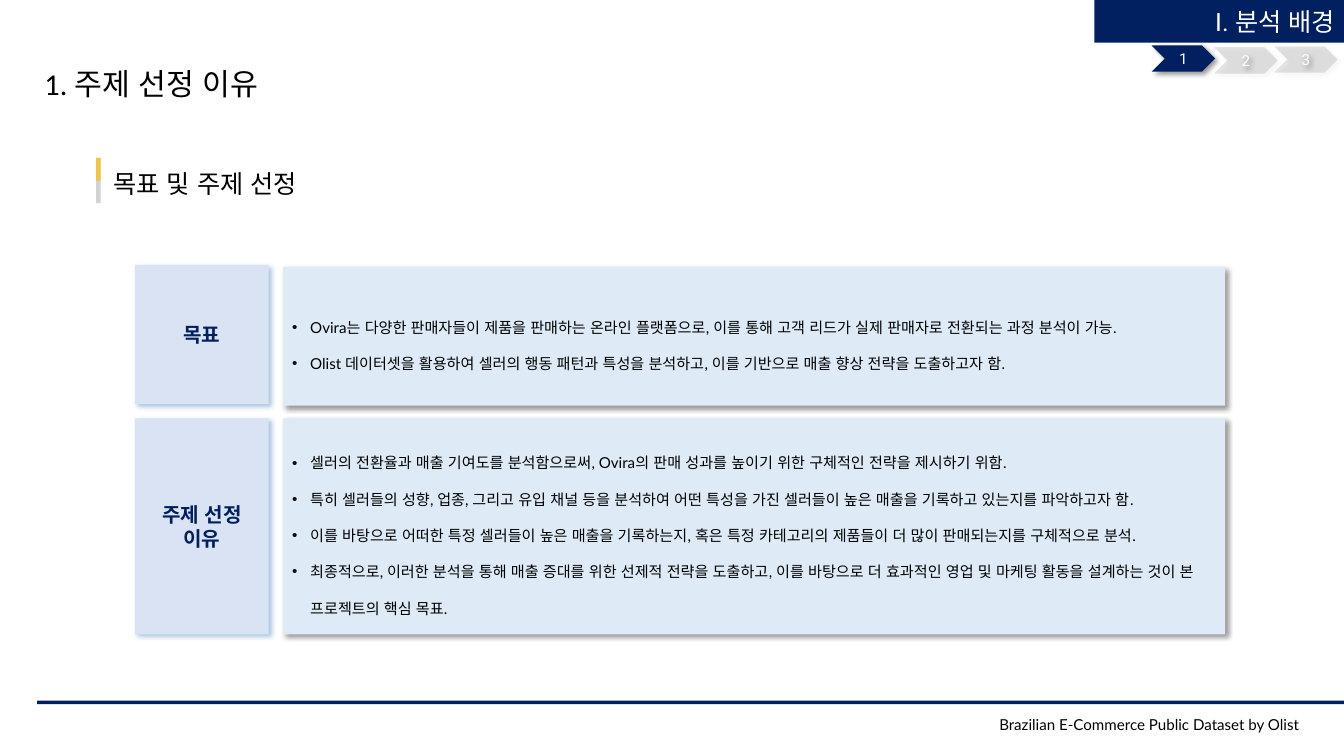
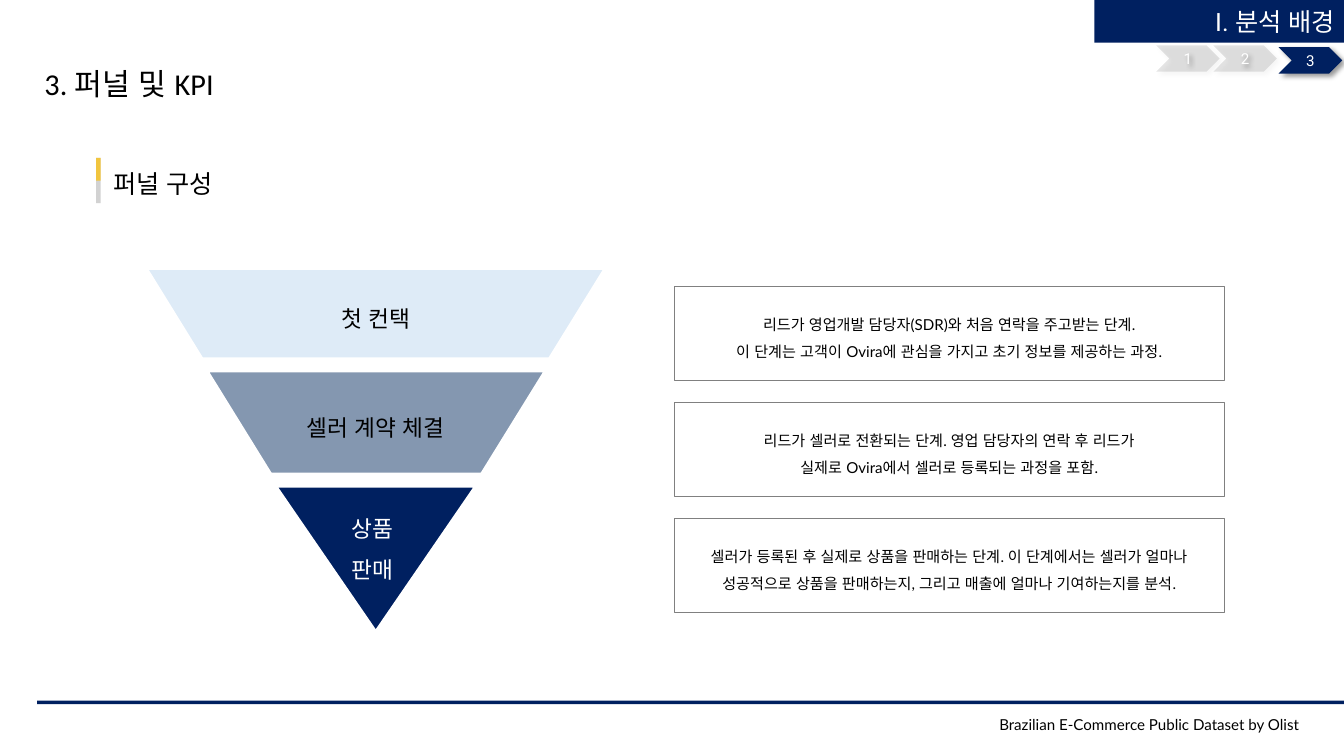
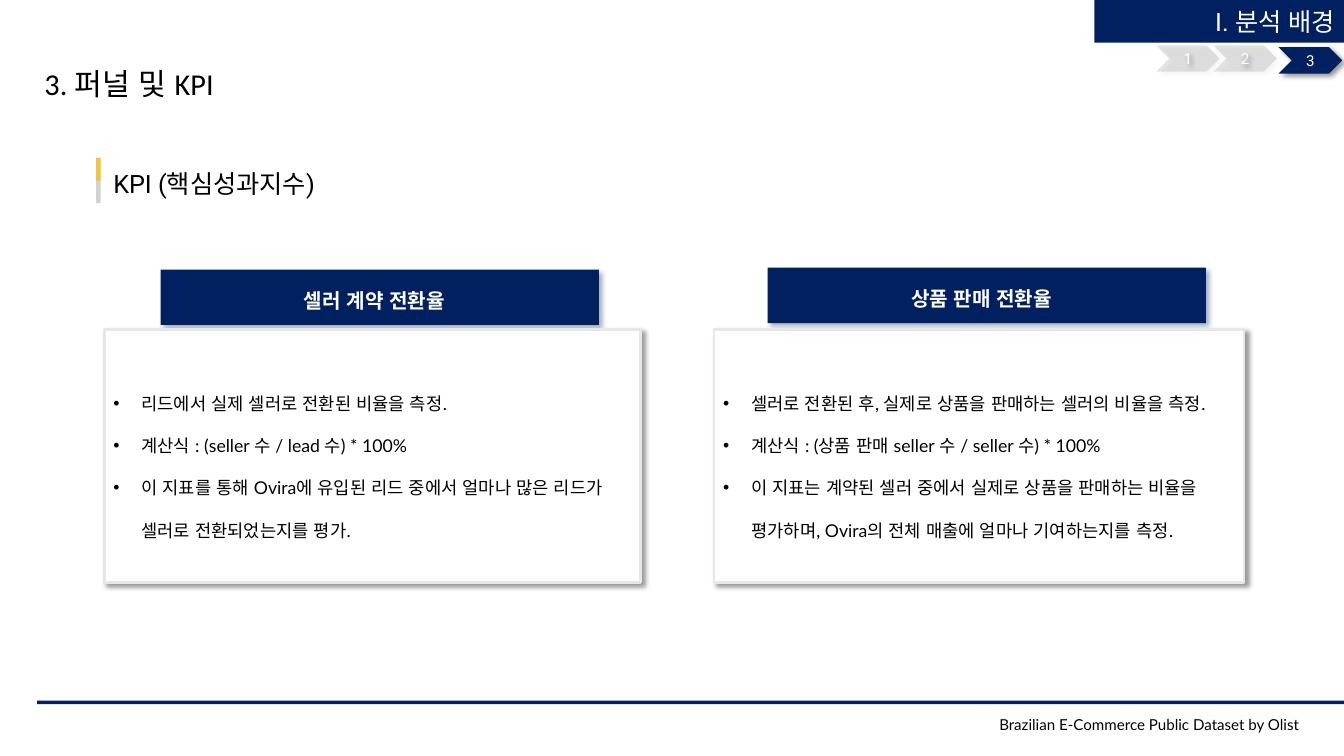
import pptx
import pptx.util
import pptx.dml.color
import pptx.enum.lang
import pptx.enum.shapes
import pptx.enum.text
import pptx.oxml
import pptx.oxml.ns

Pt = pptx.util.Pt
Inches = pptx.util.Inches
KIND = pptx.enum.shapes.MSO_SHAPE
ALIGN = pptx.enum.text.PP_ALIGN
ANCHOR = pptx.enum.text.MSO_ANCHOR
FIT = pptx.enum.text.MSO_AUTO_SIZE
LANG = pptx.enum.lang.MSO_LANGUAGE_ID

# Style: the grid has ten columns or rows to the inch
CELL = 0.1
COLS, ROWS = 148.1, 83.3
HEX = {
    "navy": "002060", "black": "000000", "white": "FFFFFF", "gold": "FFC000",
    "silver": "BFBFBF", "pale": "DEEBF7", "lilac": "DAE3F3", "steel": "8497B0",
    "blue": "2E75B6", "ink": "203864", "gray": "808080", "mist": "E7E7E9",
}
SIDE = {"l": ALIGN.LEFT, "c": ALIGN.CENTER, "r": ALIGN.RIGHT}


def cells(*nums):
    return [Inches(round(n * CELL, 3)) for n in nums]


def rgb(name):
    return pptx.dml.color.RGBColor.from_string(HEX[name])


def node(xml):
    return pptx.oxml.parse_xml(xml.replace(">", f" {pptx.oxml.ns.nsdecls('a')}>", 1))


def write(frame, text, size=12, face="Lato", color="black", bold=False, side="l",
          lead=None, dent=0, pad=None, mid=True, grow=False):
    """Fill a text frame, one paragraph a line; a dent gives bullets."""
    frame.word_wrap = True
    frame.auto_size = FIT.SHAPE_TO_FIT_TEXT if grow else FIT.NONE
    frame.vertical_anchor = ANCHOR.MIDDLE if mid else ANCHOR.TOP
    if pad is not None:
        frame.margin_left = frame.margin_right = Inches(pad)
        frame.margin_top = frame.margin_bottom = Inches(pad)
    for i, line in enumerate(text.split("\n")):
        para = frame.add_paragraph() if i else frame.paragraphs[0]
        para.alignment = SIDE[side]
        if lead:
            para.line_spacing = lead
        if dent:
            props = para._p.get_or_add_pPr()
            props.set("marL", str(Inches(dent)))
            props.set("indent", str(-Inches(dent)))
            props.append(node('<a:buFont typeface="Arial"></a:buFont>'))
            props.append(node('<a:buChar char="•"></a:buChar>'))
        run = para.add_run()
        run.text = line
        font = run.font
        font.name, font.size, font.bold = face, Pt(size), bold
        font.color.rgb = rgb(color)
        font.language_id = LANG.KOREAN


class Deck:
    def __init__(self):
        self.file = pptx.Presentation()
        self.file.slide_width, self.file.slide_height = cells(COLS, ROWS)
        self.slide = None

    # Basic elements
    def shape(self, at, fill, kind=KIND.RECTANGLE, alpha=None, line=None,
              shade=None, turn=0):
        item = self.slide.shapes.add_shape(kind, *cells(*at))
        item.rotation = turn
        item.fill.solid()
        item.fill.fore_color.rgb = rgb(fill)
        if alpha:
            tone = item._element.spPr.xpath("a:solidFill/a:srgbClr")[0]
            tone.append(node(f'<a:alpha val="{alpha * 1000}"></a:alpha>'))
        if line:
            item.line.color.rgb = rgb(line[0])
            item.line.width = Pt(line[1])
        else:
            item.line.fill.background()
        item.shadow.inherit = False
        if shade:
            item._element.spPr.xpath("a:effectLst")[0].append(node(
                f'<a:outerShdw blurRad="{Pt(4)}" dist="{Pt(3)}" dir="2700000" '
                f'algn="tl" rotWithShape="0"><a:srgbClr val="{HEX[shade]}">'
                '<a:alpha val="40000"/></a:srgbClr></a:outerShdw>'))
        return item

    def box(self, at, fill, text, line=None, shade=None, kind=KIND.RECTANGLE,
            alpha=None, **form):
        item = self.shape(at, fill, kind, alpha, line, shade)
        write(item.text_frame, text, **form)

    def label(self, at, text, **form):
        write(self.slide.shapes.add_textbox(*cells(*at)).text_frame, text, **form)

    # Frame shared by all slides
    def page(self, title, head, step, marks):
        self.slide = self.file.slides.add_slide(self.file.slide_layouts[5])
        name = self.slide.shapes.title
        name.left, name.top, name.width, name.height = cells(3.9, 6.7, 74.8, 5)
        write(name.text_frame, title, size=24, face="Calibri", mid=False)
        self.shape((4.1, 77.2, COLS - 4.1, 0.4), "navy")
        self.box((120.6, 0, COLS - 120.6, 4.7), "navy", "I. 분석 배경",
                 size=20, face="Roboto", color="white", side="r")
        self.label((99.1, 77.5, 44.1, 4.7), "Brazilian E-Commerce Public Dataset by Olist",
                   side="r", pad=0)
        self.label((11.5, 18.1, 85, 4.4), head, size=20, face="Roboto",
                   mid=False, grow=True)
        for tall, tint in ((5, "silver"), (2.5, "gold")):
            self.shape((10.6, 17.4, 0.5, tall), tint, alpha=70)
        for i, (x, y) in enumerate(marks, 1):
            live = i == step
            self.box((x, y, 7, 2.9), "navy" if live else "black", str(i),
                     kind=KIND.CHEVRON, alpha=None if live else 10, shade="black",
                     face="Roboto", color="white", side="c")

    # Compound elements
    def reason(self, top, tall, name, text, drop=0):
        self.box((31.2, top + drop, 103.8, tall), "pale", text, shade="black",
                 lead=2.0, dent=0.2)
        self.box((14.9, top, 14.7, tall), "lilac", name, shade="blue",
                 size=16, color="navy", bold=True, side="c")

    def stage(self, at, fill, spot, name, color="black"):
        self.shape(at, fill, KIND.ISOSCELES_TRIANGLE, line=("white", 12), turn=180)
        self.label(spot, name, size=18, color=color, side="c", lead=1.5,
                   pad=0.05, grow=True)

    def card(self, left, wide, tab, top, name, text):
        self.shape((tab, top, 48.3, 6.1), "navy", shade="ink")
        self.box((tab + 0.45, top + 0.85, 46.2, 4.4), "navy", name,
                 kind=KIND.ROUND_2_SAME_RECTANGLE, size=16, color="white",
                 bold=True, side="c", lead=1.2, pad=0.05, grow=True)
        self.box((left, 36.3, wide, 27.9), "white", text, line=("mist", 2),
                 shade="black", size=14, lead=2.0, dent=0.31)


def main():
    deck = Deck()
    first = ((126.9, 5), (133.8, 5.2), (140.4, 5.1))
    last = ((127.4, 5), (133.7, 5), (140.9, 5.2))

    # Slide 1: goal and reasons
    deck.page("1. 주제 선정 이유", "목표 및 주제 선정", 1, first)
    deck.reason(29.2, 15.3, "목표",
                "Ovira는 다양한 판매자들이 제품을 판매하는 온라인 플랫폼으로, 이를 통해 고객 리드가 실제 판매자로 전환되는 과정 분석이 가능.\n"
                "Olist 데이터셋을 활용하여 셀러의 행동 패턴과 특성을 분석하고, 이를 기반으로 매출 향상 전략을 도출하고자 함.",
                drop=0.2)
    deck.reason(46.1, 23.8, "주제 선정\n이유",
                "셀러의 전환율과 매출 기여도를 분석함으로써, Ovira의 판매 성과를 높이기 위한 구체적인 전략을 제시하기 위함.\n"
                "특히 셀러들의 성향, 업종, 그리고 유입 채널 등을 분석하여 어떤 특성을 가진 셀러들이 높은 매출을 기록하고 있는지를 파악하고자 함.\n"
                "이를 바탕으로 어떠한 특정 셀러들이 높은 매출을 기록하는지, 혹은 특정 카테고리의 제품들이 더 많이 판매되는지를 구체적으로 분석.\n"
                "최종적으로, 이러한 분석을 통해 매출 증대를 위한 선제적 전략을 도출하고, 이를 바탕으로 더 효과적인 영업 및 마케팅 활동을 설계하는 것이 본 프로젝트의 핵심 목표.")

    # Slide 2: funnel and its stages
    deck.page("3. 퍼널 및 KPI", "퍼널 구성", 3, last)
    deck.stage((14.9, 28.9, 53, 42.9), "pale", (35.5, 31.7, 11.9, 5.2), "첫 컨택")
    deck.stage((21.6, 40.2, 39.7, 32.1), "steel", (29.1, 43.8, 24.6, 5.2), "셀러 계약 체결")
    deck.stage((29.1, 52.9, 24.6, 17.9), "navy", (35.1, 54.9, 11.9, 9.7),
               "상품\n판매", color="white")
    notes = (
        "리드가 영업개발 담당자(SDR)와 처음 연락을 주고받는 단계.\n"
        "이 단계는 고객이 Ovira에 관심을 가지고 초기 정보를 제공하는 과정.",
        "리드가 셀러로 전환되는 단계. 영업 담당자의 연락 후 리드가\n"
        "실제로 Ovira에서 셀러로 등록되는 과정을 포함.",
        "셀러가 등록된 후 실제로 상품을 판매하는 단계. 이 단계에서는 셀러가 얼마나\n"
        "성공적으로 상품을 판매하는지, 그리고 매출에 얼마나 기여하는지를 분석.",
    )
    for i, note in enumerate(notes):
        deck.box((74.3, 31.5 + 12.8 * i, 60.6, 10.4), "white", note,
                 line=("gray", 0.25), side="c", lead=1.5)

    # Slide 3: two rates
    deck.page("3. 퍼널 및 KPI", "KPI (핵심성과지수)", 3, last)
    deck.card(11.5, 59.1, 17.7, 29.7, "셀러 계약 전환율",
              "리드에서 실제 셀러로 전환된 비율을 측정.\n"
              "계산식 : (seller 수 / lead 수) * 100%\n"
              "이 지표를 통해 Ovira에 유입된 리드 중에서 얼마나 많은 리드가 셀러로 전환되었는지를 평가.")
    deck.card(78.7, 58.4, 84.6, 29.5, "상품 판매 전환율",
              "셀러로 전환된 후, 실제로 상품을 판매하는 셀러의 비율을 측정.\n"
              "계산식 : (상품 판매 seller 수 / seller 수) * 100%\n"
              "이 지표는 계약된 셀러 중에서 실제로 상품을 판매하는 비율을 평가하며, Ovira의 전체 매출에 얼마나 기여하는지를 측정.")

    deck.file.save("out.pptx")


if __name__ == "__main__":
    main()
